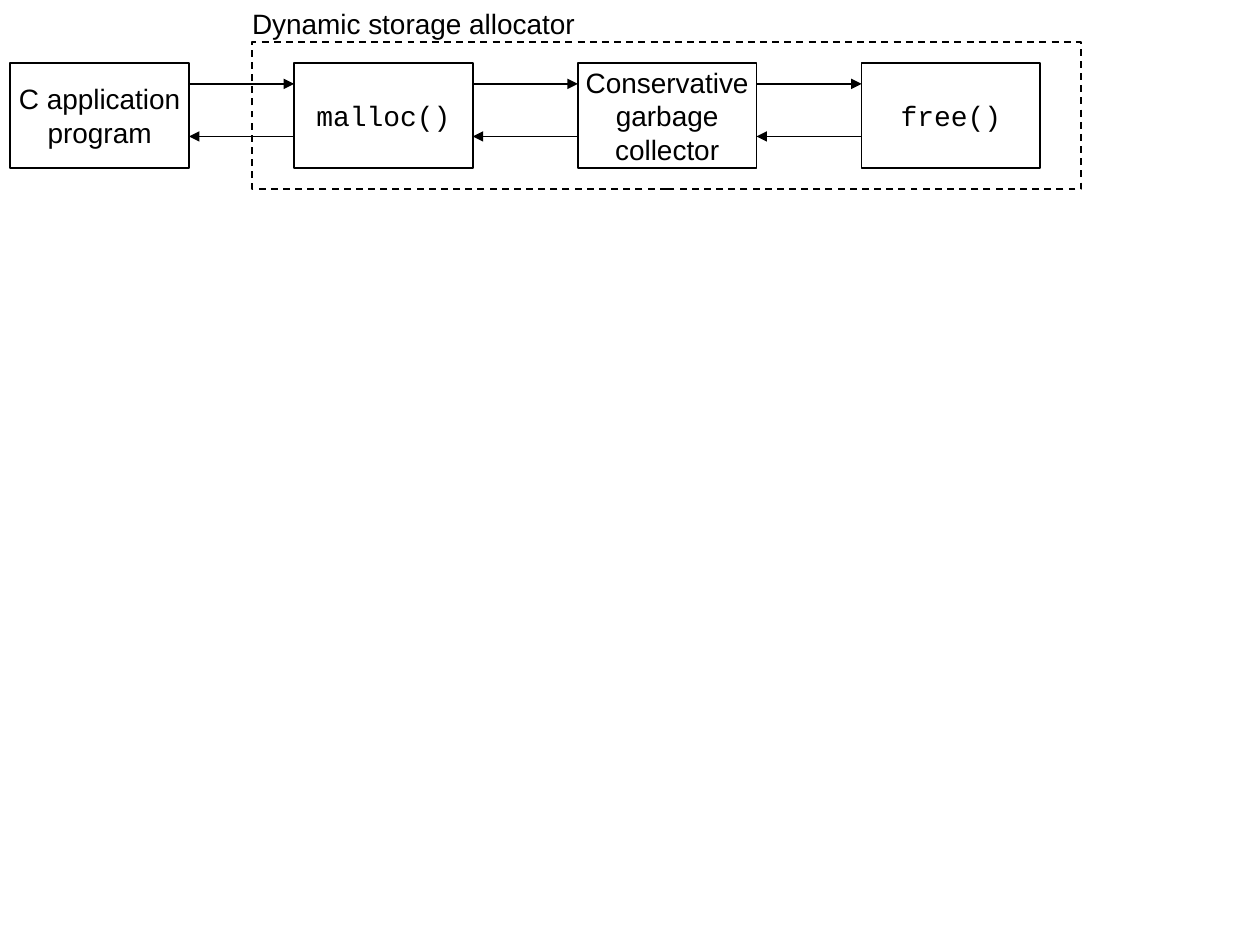
from lxml import etree
from pptx import Presentation
from pptx.dml.color import RGBColor
from pptx.enum.dml import MSO_LINE
from pptx.enum.shapes import MSO_CONNECTOR, MSO_SHAPE
from pptx.enum.text import MSO_ANCHOR, MSO_AUTO_SIZE, PP_ALIGN
from pptx.oxml.ns import qn
from pptx.util import Cm, Pt

RECTANGLE = MSO_SHAPE.RECTANGLE
STRAIGHT = MSO_CONNECTOR.STRAIGHT
DASH = MSO_LINE.DASH
MIDDLE = MSO_ANCHOR.MIDDLE
CENTER = PP_ALIGN.CENTER
FIT_SHAPE = MSO_AUTO_SIZE.SHAPE_TO_FIT_TEXT
BLACK = "000000"


def color(hex_code):
    return RGBColor.from_string(hex_code)


def write_lines(frame, lines, font_name):
    """Put each line in its own centred paragraph, without wrapping."""
    frame.word_wrap = False
    frame.vertical_anchor = MIDDLE
    for index, line in enumerate(lines):
        paragraph = frame.add_paragraph() if index else frame.paragraphs[0]
        paragraph.alignment = CENTER
        run = paragraph.add_run()
        run.text = line
        run.font.name = font_name
        run.font.size = Pt(16)
        run.font.color.rgb = color(BLACK)


presentation = Presentation()
presentation.slide_width = Cm(25.4)
presentation.slide_height = Cm(19.05)
slide = presentation.slides.add_slide(presentation.slide_layouts[6])

stages = [
    (["C application", "program"], "Arial"),
    (["malloc()"], "Courier New"),
    (["Conservative", "garbage", "collector"], "Arial"),
    (["free()"], "Courier New"),
]
first_left, stage_top = 0.21, 1.27
stage_width, stage_height = 3.6, 2.12
pitch = 5.72
call_y, return_y = 1.69, 2.75

# Stages of the allocator chain
outlined = []
for index, (lines, font_name) in enumerate(stages):
    stage = slide.shapes.add_shape(
        RECTANGLE, Cm(first_left + index * pitch), Cm(stage_top),
        Cm(stage_width), Cm(stage_height))
    write_lines(stage.text_frame, lines, font_name)
    outlined.append(stage)

# Call and return arrows between neighbouring stages
for index in range(len(stages) - 1):
    gap_left = first_left + index * pitch + stage_width
    gap_right = first_left + (index + 1) * pitch
    for y, arrow_end in [(call_y, "a:tailEnd"), (return_y, "a:headEnd")]:
        arrow = slide.shapes.add_connector(
            STRAIGHT, Cm(gap_left), Cm(y), Cm(gap_right), Cm(y))
        arrow.line.width = Pt(1)
        arrow.line.color.rgb = color(BLACK)
        properties = arrow.line._get_or_add_ln()
        etree.SubElement(properties, qn(arrow_end), type="triangle")
        etree.SubElement(properties.getparent(), qn("a:effectLst"))

# Dashed boundary of the allocator and its caption
allocator = slide.shapes.add_shape(
    RECTANGLE, Cm(5.08), Cm(0.85), Cm(16.72), Cm(2.96))
allocator.line.dash_style = DASH
outlined.append(allocator)

for outline in outlined:
    outline.shadow.inherit = False
    outline.fill.background()
    outline.line.color.rgb = color(BLACK)
    outline.line.width = Pt(1)

caption = slide.shapes.add_textbox(Cm(4.83), Cm(0), Cm(7.01), Cm(0.94))
write_lines(caption.text_frame, ["Dynamic storage allocator"], "Arial")
caption.text_frame.auto_size = FIT_SHAPE

presentation.save("out.pptx")
